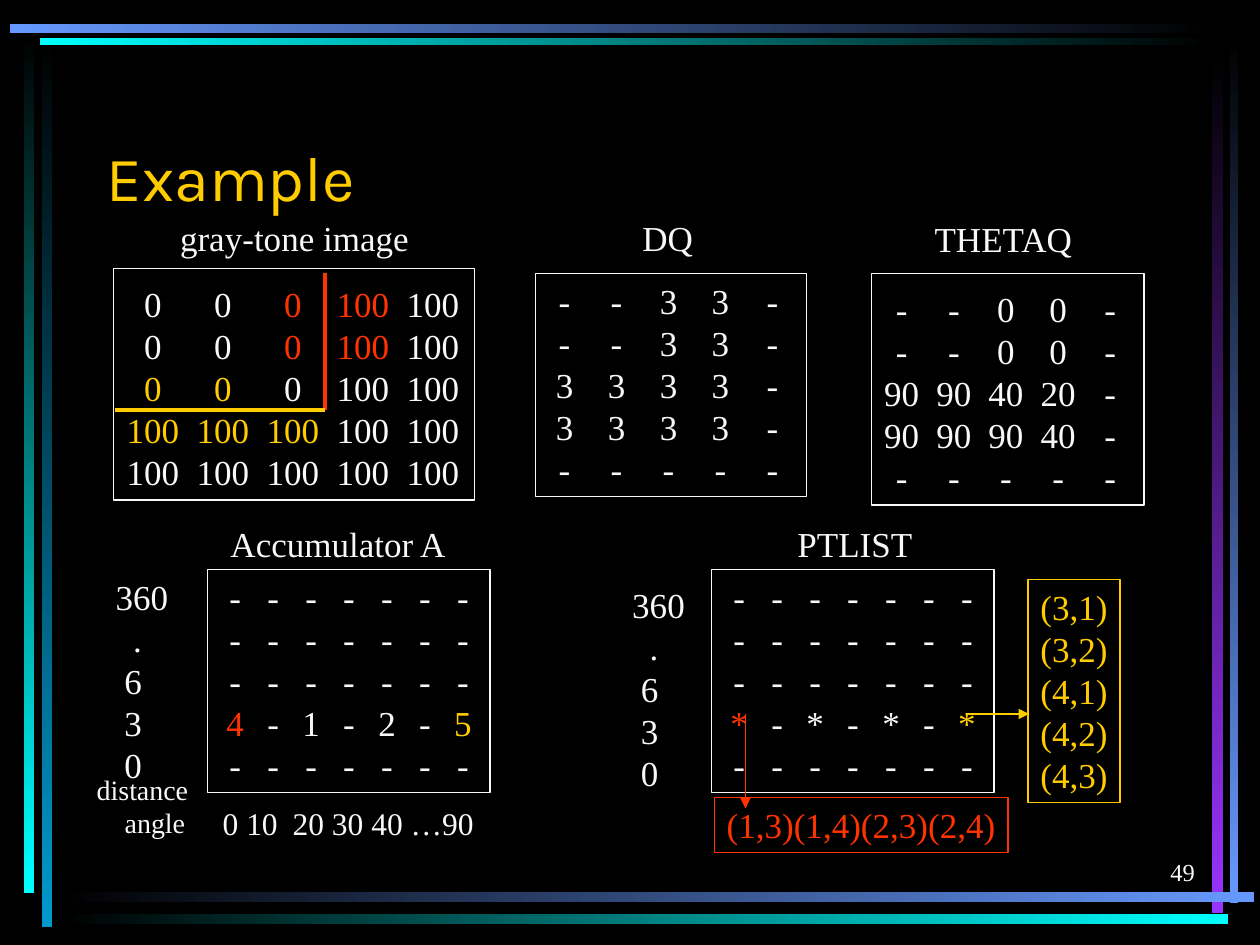
from lxml import etree
from pptx import Presentation
from pptx.dml.color import RGBColor
from pptx.enum.shapes import MSO_CONNECTOR, MSO_SHAPE
from pptx.enum.text import MSO_ANCHOR, PP_ALIGN
from pptx.oxml.ns import qn
from pptx.util import Pt

RECT = MSO_SHAPE.RECTANGLE
STRAIGHT = MSO_CONNECTOR.STRAIGHT
TOP, BOTTOM = MSO_ANCHOR.TOP, MSO_ANCHOR.BOTTOM
LEFT, RIGHT = PP_ALIGN.LEFT, PP_ALIGN.RIGHT
SERIF = "Times New Roman"
BLACK, WHITE, RED, GOLD = "000000", "F8F8F8", "FF3300", "FFCC00"
BLUE, CYAN, TEAL, PURPLE = "6699FF", "00FFFF", "0099CC", "9933FF"


def rgb(color):
    return RGBColor.from_string(color)


def style(r, size, color, font=SERIF):
    r.font.size, r.font.name = Pt(size), font
    r.font.color.rgb = rgb(color)


def add_bar(s, box, start, end, angle):
    sp = s.shapes.add_shape(RECT, *map(Pt, box))
    sp.shadow.inherit = False
    sp.line.fill.background()
    sp.fill.gradient()
    sp.fill.gradient_angle = angle
    for stop, color in zip(sp.fill.gradient_stops, (start, end)):
        stop.color.rgb = rgb(color)


def add_frame(s):
    down, across = 270, 0
    for box, start, end, angle in (
        ((23.8, 20.2, 5.8, 509.8), BLACK, TEAL, down),
        ((13.7, 18, 5.8, 492.5), BLACK, CYAN, down),
        ((702.7, 17.3, 5, 499), BLACK, BLUE, down),
        ((692.6, 30.2, 6.5, 491.8), BLACK, PURPLE, down),
        ((32.4, 509.8, 684, 5.8), BLACK, BLUE, across),
        ((32.4, 522, 669.6, 5.8), BLACK, CYAN, across),
        ((23, 21.6, 671, 4.3), CYAN, BLACK, across),
        ((5.8, 13.7, 688.3, 5), BLUE, BLACK, across),
    ):
        add_bar(s, box, start, end, angle)


def add_text(s, box, lines, size=20, color=WHITE, font=SERIF,
             anchor=TOP, align=LEFT, indents=()):
    tf = s.shapes.add_textbox(*map(Pt, box)).text_frame
    tf.word_wrap, tf.vertical_anchor = True, anchor
    if align == LEFT:
        tf.margin_right = 0  # room for the longest line
    tf.text = "\n".join(lines)
    for p in tf.paragraphs:
        p.alignment = align
        style(p.runs[0], size, color, font)
    for p, indent in zip(tf.paragraphs, indents):
        p._p.get_or_add_pPr().set("marL", str(Pt(indent)))
    return tf


def add_box(s, box, color=WHITE):
    sp = s.shapes.add_shape(RECT, *map(Pt, box))
    sp.shadow.inherit = False
    sp.fill.background()
    sp.line.color.rgb, sp.line.width = rgb(color), Pt(0.75)
    tf = sp.text_frame
    tf.word_wrap, tf.vertical_anchor, tf.margin_right = True, TOP, 0
    return tf


def set_tabs(p, stops, kind):
    tabs = etree.SubElement(p._p.get_or_add_pPr(), qn("a:tabLst"))
    for stop in stops:
        etree.SubElement(tabs, qn("a:tab"), pos=str(Pt(stop)), algn=kind)


def add_matrix(s, box, rows, first, step, colors=None, top=3.6):
    """Outlined matrix, its columns centred on evenly spaced tab stops."""
    colors = colors or {}
    tf = add_box(s, box)
    tf.margin_top = Pt(top)
    for i, row in enumerate(rows):
        p = tf.paragraphs[0] if i == 0 else tf.add_paragraph()
        p.alignment = LEFT
        cells = row.split()
        set_tabs(p, [first + step * j for j in range(len(cells))], "ctr")
        for j, cell in enumerate(cells):
            r = p.add_run()
            r.text = "\t" + cell
            style(r, 20, colors.get((i, j), WHITE))


def add_list(s, box, lines, color):
    tf = add_box(s, box, color)
    tf.text = "\n".join(lines)
    for p in tf.paragraphs:
        p.alignment = LEFT
        style(p.runs[0], 20, color)


def add_line(s, start, end, color, width, arrow=False):
    c = s.shapes.add_connector(STRAIGHT, *map(Pt, start + end))
    c.line.color.rgb, c.line.width = rgb(color), Pt(width)
    if arrow:
        etree.SubElement(c.line._get_or_add_ln(), qn("a:tailEnd"), type="triangle")
    etree.SubElement(c._element.spPr, qn("a:effectLst"))


def add_gray_image(s, x, y):
    add_text(s, (x + 31, y - 33, 144.7, 31.5), ["gray-tone image"])
    colors = {(i, j): RED for i in (0, 1) for j in (2, 3)}
    colors.update({(2, 0): GOLD, (2, 1): GOLD})
    colors.update({(3, j): GOLD for j in range(3)})
    rows = ["0 0 0 100 100"] * 3 + ["100 100 100 100 100"] * 2
    add_matrix(s, (x, y, 206.6, 132.5), rows, 15.5, 40, colors, top=8)
    # Edges between dark and bright pixels
    add_line(s, (x + 121, y + 3), (x + 121, y + 81), RED, 2.25)
    add_line(s, (x + 1, y + 81), (x + 121, y + 81), GOLD, 2.25)


def add_gradient_matrices(s, y):
    add_text(s, (360, y - 36, 43.2, 31.5), ["DQ"])
    add_matrix(s, (306, y, 154.8, 127.4),
               ["- - 3 3 -"] * 2 + ["3 3 3 3 -"] * 2 + ["- - - - -"], 9.5, 29.7)
    add_text(s, (527, y - 35.2, 94.3, 31.5), ["THETAQ"])
    add_matrix(s, (498.2, y, 155.5, 132.5),
               ["- - 0 0 -"] * 2 + ["90 90 40 20 -", "90 90 90 40 -", "- - - - -"],
               10, 29.8, top=8)


def add_bins(s, x, y, title, title_x, title_width, counts, axis_x, axis_y):
    """Angle axis beside a matrix of bins; the 3-degree row holds counts."""
    add_text(s, (title_x, y - 30.2, title_width, 31.5), [title])
    add_text(s, (axis_x, axis_y, 43.9, 127.4), ["360", ".", "6", "3", "0"],
             indents=(0, 10, 5, 5, 5))
    empty = "- - - - - - -"
    add_matrix(s, (x, y, 161.3, 127.4), [empty] * 3 + [counts, empty],
               8.5, 21.7, {(3, 0): RED, (3, 6): GOLD})


def add_accumulator(s, x, y):
    add_bins(s, x, y, "Accumulator A", x + 5.8, 138.2, "4 - 1 - 2 - 5", 59, y)
    tf = add_text(s, (x + 1.4, y + 130.3, 158.4, 28.8), ["0 10\t20 30 40 …90"], 18)
    set_tabs(tf.paragraphs[0], [40], "l")
    add_text(s, (48.2, y + 112.3, 66.2, 46.1), ["distance", "angle"], 16,
             indents=(0, 16))


def add_point_list(s, x, y):
    add_bins(s, x, y, "PTLIST", x + 41.8, 79.9, "* - * - * - *", 354.2, y + 4.3)
    # Point lists the two marked bins refer to
    add_list(s, (x + 1.4, y + 130.3, 167.8, 31.7), ["(1,3)(1,4)(2,3)(2,4)"], RED)
    add_list(s, (x + 180.7, y + 5.8, 52.6, 127.4),
             ["(3,1)", "(3,2)", "(4,1)", "(4,2)", "(4,3)"], GOLD)
    add_line(s, (x + 145.2, y + 82.6), (x + 181.2, y + 82.6), GOLD, 0.75, True)
    add_line(s, (x + 19.2, y + 82.6), (x + 19.2, y + 136.6), RED, 0.75, True)


def main():
    prs = Presentation()
    prs.slide_width, prs.slide_height = Pt(720), Pt(540)
    s = prs.slides.add_slide(prs.slide_layouts[6])
    s.background.fill.solid()
    s.background.fill.fore_color.rgb = rgb(BLACK)
    add_frame(s)
    # Title and page number
    add_text(s, (54, 48.2, 612, 77.8), ["Example"], 36, GOLD, "Karla", BOTTOM)
    add_text(s, (540, 473.8, 149.8, 36), ["49"], 14, anchor=BOTTOM, align=RIGHT)
    # Upper row: input and gradient; lower row: bins
    add_gray_image(s, 64.8, 153.3)
    add_gradient_matrices(s, 156.2)
    add_accumulator(s, 118.8, 325.4)
    add_point_list(s, 406.8, 325.4)
    prs.save("out.pptx")


if __name__ == "__main__":
    main()
